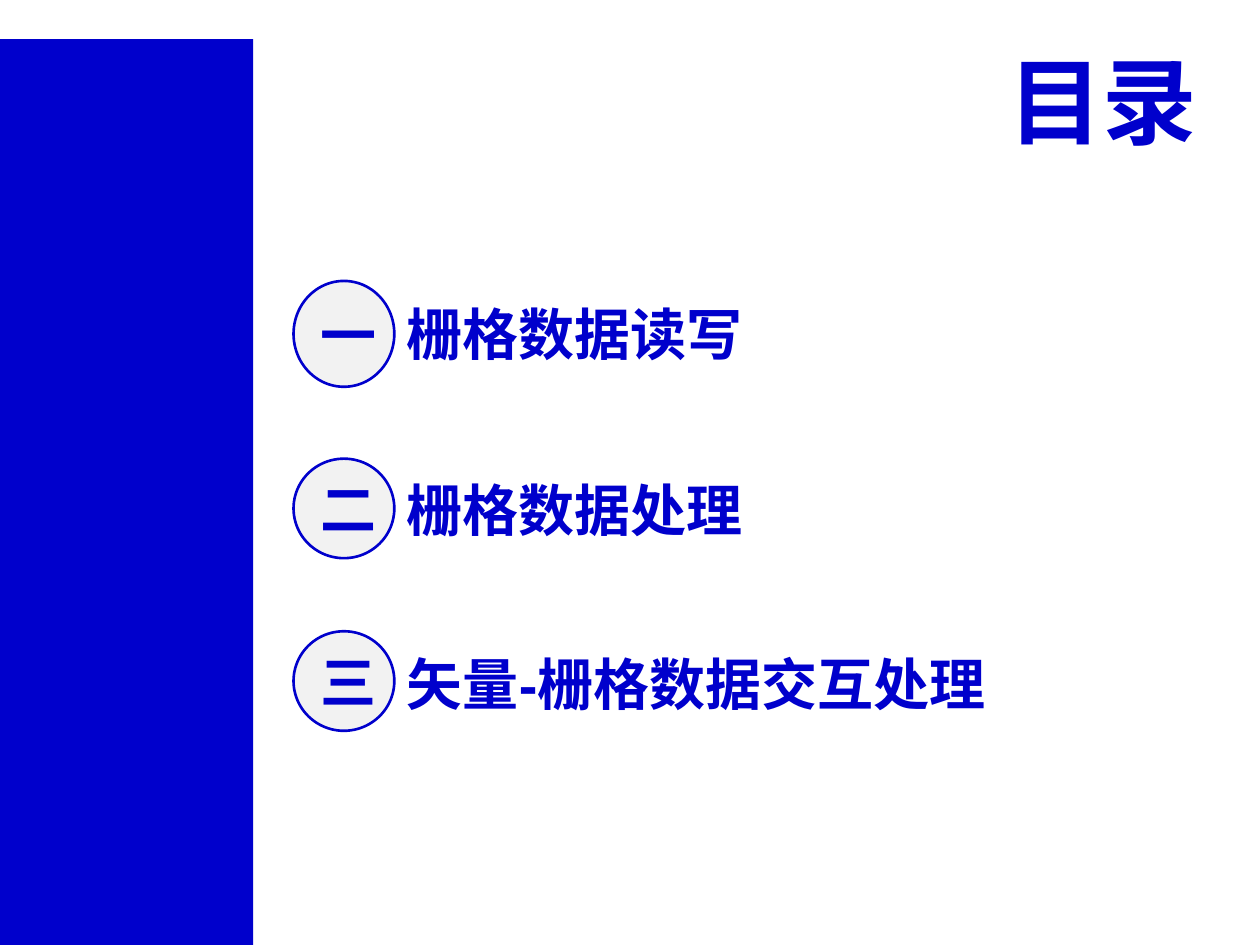
from lxml.etree import SubElement
from pptx import Presentation
from pptx.dml.color import RGBColor
from pptx.enum.shapes import MSO_SHAPE as Shape
from pptx.enum.text import MSO_ANCHOR as Anchor, MSO_AUTO_SIZE as AutoSize, PP_ALIGN as Align
from pptx.oxml.ns import qn
from pptx.util import Inches, Pt

BLUE = "0000CC"
PALE = "F2F2F2"
CJK_FONT = "Noto Sans CJK SC"
CHAPTERS = [
    ("一", "栅格数据读写", 2.23, 0.84, 2.32, 6.47),
    ("二", "栅格数据处理", 3.64, 0.79, 3.72, 6.2),
    ("三", "矢量-栅格数据交互处理", 5.01, 0.79, 5.1, 6.2),
]


def paint(color_format, color):
    """Give a fill or font colour a hex value."""
    color_format.rgb = RGBColor.from_string(color)


def write(shape, text, size, font, align, **frame_format):
    """Put one bold blue line of text into a shape."""
    frame = shape.text_frame
    for name, value in frame_format.items():
        setattr(frame, name, value)
    para = frame.paragraphs[0]
    para.alignment = align
    span = para.add_run()
    span.text = text
    for name, value in {"name": font, "size": Pt(size), "bold": True}.items():
        setattr(span.font, name, value)
    paint(span.font.color, BLUE)
    SubElement(span.font._element, qn("a:ea"), typeface=CJK_FONT)


def add_figure(shapes, kind, place, fill, line=None):
    """Add a flat filled shape, outlined when a line colour is given."""
    figure = shapes.add_shape(kind, *map(Inches, place))
    figure.shadow.inherit = False
    figure.fill.solid()
    paint(figure.fill.fore_color, fill)
    if line:
        paint(figure.line.color, line)
        figure.line.width = Pt(1.5)
    else:
        figure.line.fill.background()
    return figure


def add_label(shapes, text, place, size, align, anchor, wrap):
    """Add a text box that grows with its text."""
    box = shapes.add_textbox(*map(Inches, place))
    write(box, text, size, "Arial", align, word_wrap=wrap,
          auto_size=AutoSize.SHAPE_TO_FIT_TEXT, vertical_anchor=anchor)


def add_chapter(shapes, numeral, heading, top, height, heading_top, heading_width):
    """Group a numbered circle with its chapter heading."""
    group = shapes.add_group_shape().shapes
    circle = add_figure(group, Shape.OVAL, (2.33, top, 0.8, height), PALE, BLUE)
    write(circle, numeral, 32, CJK_FONT, Align.CENTER, vertical_anchor=Anchor.MIDDLE)
    add_label(group, heading, (3.13, heading_top, heading_width, 0.64),
              32, Align.LEFT, Anchor.MIDDLE, True)


def main():
    """Build the contents slide."""
    deck = Presentation()
    deck.slide_width, deck.slide_height = Inches(10), Inches(7.5)
    shapes = deck.slides.add_slide(deck.slide_layouts[6]).shapes
    add_figure(shapes, Shape.RECTANGLE, (0, 0.31, 2.01, 7.19), BLUE)
    add_label(shapes, "目录", (7.84, 0.29, 1.76, 1.01), 54, Align.RIGHT, Anchor.TOP, False)
    for chapter in CHAPTERS:
        add_chapter(shapes, *chapter)
    deck.save("out.pptx")


if __name__ == "__main__":
    main()
